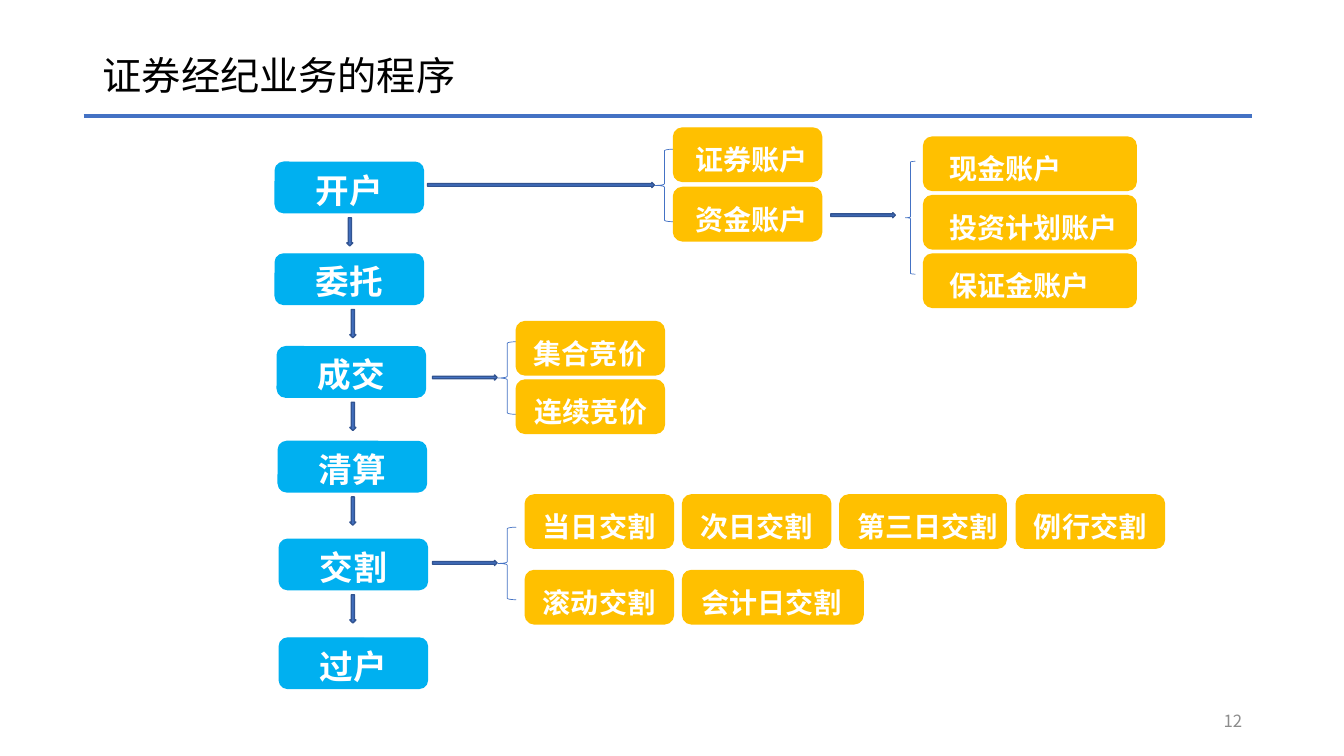
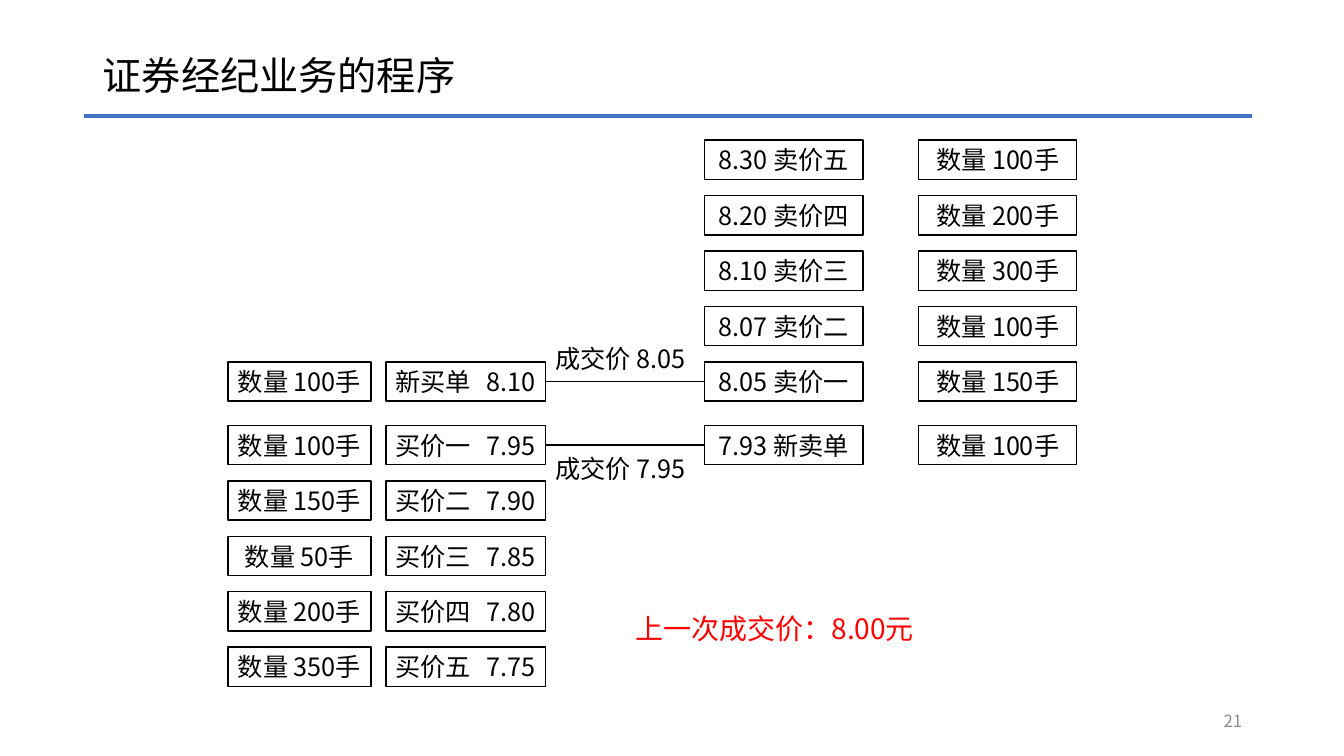
from lxml import etree
from pptx import Presentation
from pptx.dml.color import RGBColor
from pptx.enum.shapes import MSO_CONNECTOR, MSO_SHAPE
from pptx.enum.text import MSO_ANCHOR, MSO_AUTO_SIZE, PP_ALIGN
from pptx.oxml.ns import qn
from pptx.util import Inches, Pt

FONT = "Noto Sans CJK SC"
BLACK = RGBColor(0x00, 0x00, 0x00)
WHITE = RGBColor(0xFF, 0xFF, 0xFF)
RED = RGBColor(0xFF, 0x00, 0x00)
GREY = RGBColor(0x8C, 0x8C, 0x8C)
BLUE = RGBColor(0x44, 0x72, 0xC4)
DARK_BLUE = RGBColor(0x32, 0x54, 0x91)
SKY = RGBColor(0x00, 0xB0, 0xF0)
AMBER = RGBColor(0xFF, 0xC0, 0x00)


def add_text(frame, text, size, color, bold=False, align=PP_ALIGN.LEFT):
    paragraph = frame.paragraphs[0]
    paragraph.alignment = align
    run = paragraph.add_run()
    run.text = text
    run.font.size = Pt(size)
    run.font.bold = bold
    run.font.color.rgb = color
    run.font.name = FONT
    etree.SubElement(run.font._element, qn("a:ea"), typeface=FONT)


def add_block(slide, kind, at, fill, line, width=1):
    block = slide.shapes.add_shape(kind, *[Inches(v) for v in at])
    block.shadow.inherit = False
    if fill is None:
        block.fill.background()
    else:
        block.fill.solid()
        block.fill.fore_color.rgb = fill
    block.line.color.rgb = line
    block.line.width = Pt(width)
    frame = block.text_frame
    frame.margin_left = frame.margin_right = 0
    frame.margin_top = frame.margin_bottom = 0
    return block


prs = Presentation()
prs.slide_width, prs.slide_height = Inches(13.33), Inches(7.5)

# Shared title, rule and page number
slides = []
for number in ("12", "21"):
    slide = prs.slides.add_slide(prs.slide_layouts[5])
    title = slide.shapes.title
    title.left, title.top = Inches(0.92), Inches(0.4)
    title.width, title.height = Inches(11.5), Inches(0.74)
    title.text_frame.auto_size = MSO_AUTO_SIZE.NONE
    title.text_frame.vertical_anchor = MSO_ANCHOR.MIDDLE
    title.text_frame.paragraphs[0].line_spacing = 0.9
    add_text(title.text_frame, "证券经纪业务的程序", 28, BLACK)

    rule = slide.shapes.add_connector(
        MSO_CONNECTOR.STRAIGHT, Inches(0.83), Inches(1.15), Inches(12.42), Inches(1.15))
    rule.line.color.rgb = BLUE
    rule.line.width = Pt(3)
    etree.SubElement(rule._element.spPr, qn("a:effectLst"))

    page_number = slide.shapes.add_textbox(
        Inches(9.42), Inches(6.95), Inches(3), Inches(0.4)).text_frame
    page_number.word_wrap = True
    page_number.vertical_anchor = MSO_ANCHOR.MIDDLE
    add_text(page_number, number, 12, GREY, align=PP_ALIGN.RIGHT)
    slides.append(slide)
procedure, order_book = slides

# Slide 1: steps from top to bottom (left, top, name, left of the arrow below)
steps = [
    (2.73, 1.61, "开户", 3.44),
    (2.73, 2.52, "委托", 3.47),
    (2.75, 3.44, "成交", 3.47),
    (2.76, 4.38, "清算", 3.47),
    (2.77, 5.35, "交割", 3.47),
    (2.77, 6.33, "过户", None),
]
for left, top, name, arrow_left in steps:
    step = add_block(procedure, MSO_SHAPE.ROUNDED_RECTANGLE, (left, top, 1.47, 0.5), SKY, SKY)
    step.text_frame.vertical_anchor = MSO_ANCHOR.TOP
    step.text_frame.margin_left = Inches(0.38)
    step.text_frame.margin_top = Inches(0.05)
    add_text(step.text_frame, name, 24, WHITE, bold=True)
    if arrow_left:
        add_block(procedure, MSO_SHAPE.DOWN_ARROW,
                  (arrow_left, top + 0.55, 0.06, 0.28), BLUE, DARK_BLUE)

# Arrows and braces leading to the details
for left, top, width in [(4.24, 1.81, 2.25), (8.24, 2.11, 0.64),
                         (4.29, 3.72, 0.64), (4.29, 5.56, 0.64)]:
    add_block(procedure, MSO_SHAPE.RIGHT_ARROW, (left, top, width, 0.05), BLUE, DARK_BLUE)
for brace_at in [(6.5, 1.48, 0.18, 0.72), (8.98, 1.6, 0.1, 1.12),
                 (4.94, 3.39, 0.18, 0.72), (4.94, 5.23, 0.18, 0.72)]:
    add_block(procedure, MSO_SHAPE.LEFT_BRACE, brace_at, None, BLUE, 0.5)

# Details of the steps (left, top, width, text indent, name)
details = [
    (6.68, 1.27, 1.47, 0.19, "证券账户"),
    (6.68, 1.86, 1.47, 0.19, "资金账户"),
    (9.16, 1.36, 2.11, 0.23, "现金账户"),
    (9.16, 1.94, 2.11, 0.23, "投资计划账户"),
    (9.16, 2.52, 2.11, 0.23, "保证金账户"),
    (5.12, 3.19, 1.47, 0.15, "集合竞价"),
    (5.12, 3.77, 1.47, 0.16, "连续竞价"),
    (5.21, 4.91, 1.47, 0.15, "当日交割"),
    (6.77, 4.91, 1.47, 0.15, "次日交割"),
    (8.33, 4.91, 1.65, 0.15, "第三日交割"),
    (10.08, 4.91, 1.47, 0.15, "例行交割"),
    (5.21, 5.66, 1.47, 0.15, "滚动交割"),
    (6.77, 5.66, 1.79, 0.16, "会计日交割"),
]
for left, top, width, indent, name in details:
    detail = add_block(procedure, MSO_SHAPE.ROUNDED_RECTANGLE,
                       (left, top, width, 0.53), AMBER, AMBER)
    detail.text_frame.vertical_anchor = MSO_ANCHOR.TOP
    detail.text_frame.margin_left = Inches(indent)
    detail.text_frame.margin_top = Inches(0.12)
    add_text(detail.text_frame, name, 20, WHITE, bold=True)

# Slide 2: rows of the order book
ROW_STEP = 0.55
upper_rows = [1.39 + ROW_STEP * i for i in range(5)]
lower_rows = [4.22 + ROW_STEP * i for i in range(5)]
BOX_HEIGHT = 0.39

asks = ["8.30 卖价五", "8.20 卖价四", "8.10 卖价三", "8.07 卖价二", "8.05 卖价一", "7.93 新卖单"]
ask_lots = [100, 200, 300, 100, 150, 100]
bids = ["新买单\t8.10", "买价一\t7.95", "买价二\t7.90", "买价三\t7.85", "买价四\t7.80", "买价五\t7.75"]
bid_lots = [100, 100, 150, 50, 200, 350]
ask_tops = upper_rows + lower_rows[:1]
bid_tops = upper_rows[-1:] + lower_rows

columns = [
    (2.26, 1.42, bid_tops, [f"数量 {lots}手" for lots in bid_lots]),
    (3.83, 1.58, bid_tops, bids),
    (6.99, 1.57, ask_tops, asks),
    (9.11, 1.57, ask_tops, [f"数量 {lots}手" for lots in ask_lots]),
]
orders = {}
for left, width, tops, labels in columns:
    for top, label in zip(tops, labels):
        order = add_block(order_book, MSO_SHAPE.RECTANGLE,
                          (left, top, width, BOX_HEIGHT), None, BLACK)
        frame = order.text_frame
        frame.vertical_anchor = MSO_ANCHOR.MIDDLE
        align = PP_ALIGN.CENTER
        frame.word_wrap = False
        if "\t" in label:
            # Bid name on the left, price at a tab stop
            align = PP_ALIGN.LEFT
            frame.word_wrap = True
            frame.margin_left = Inches(0.09)
            stops = etree.SubElement(frame.paragraphs[0]._p.get_or_add_pPr(), qn("a:tabLst"))
            etree.SubElement(stops, qn("a:tab"), pos=str(Inches(0.91)), algn="l")
        add_text(frame, label, 18, BLACK, align=align)
        orders[label] = order

# Matched orders
for bid, ask in [(bids[0], asks[4]), (bids[1], asks[5])]:
    match = order_book.shapes.add_connector(MSO_CONNECTOR.STRAIGHT, 0, 0, 0, 0)
    match.begin_connect(orders[bid], 3)
    match.end_connect(orders[ask], 1)
    match.line.color.rgb = BLACK
    match.line.width = Pt(1)
    etree.SubElement(match._element.spPr, qn("a:effectLst"))

# Deal prices
for left, top, width, height, text, size, color in [
    (5.41, 3.36, 1.81, 0.4, "成交价 8.05", 18, BLACK),
    (5.41, 4.45, 1.81, 0.4, "成交价 7.95", 18, BLACK),
    (6.2, 6.02, 4.1, 0.44, "上一次成交价：8.00元", 20, RED),
]:
    price = order_book.shapes.add_textbox(
        Inches(left), Inches(top), Inches(width), Inches(height)).text_frame
    price.word_wrap = True
    add_text(price, text, size, color)

prs.save("out.pptx")
